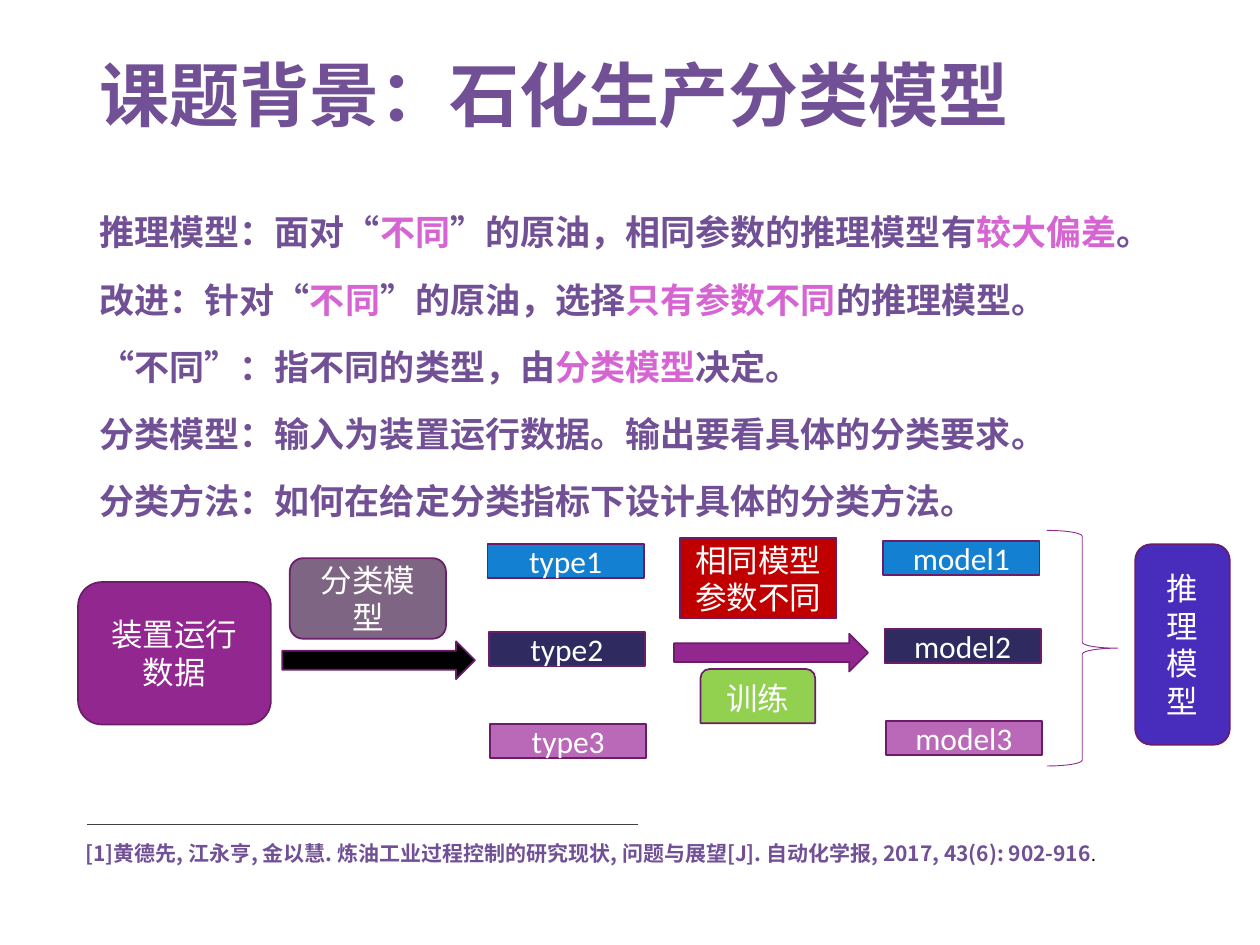
import dataclasses
import typing

import pptx
import pptx.dml.color
import pptx.enum.shapes
import pptx.enum.text
import pptx.oxml
import pptx.oxml.ns
import pptx.util

Kind = pptx.enum.shapes.MSO_SHAPE
Align = pptx.enum.text.PP_ALIGN
Anchor = pptx.enum.text.MSO_ANCHOR
NOTO = "Noto Sans CJK SC"
PURPLE, PINK, EDGE, MAIN = "715096", "D665D3", "6C1D6A", "92278F"
COLS, ROWS = 100, 75
HEAD = {"size": 40, "name": NOTO, "color": PURPLE, "bold": True}
LIST = {**HEAD, "size": 20}
CITE = {**HEAD, "size": 12}
DOT = {"size": 11, "name": "Calibri", "color": "000000", "bold": False}
LABEL = {"size": 18, "name": "Calibri", "color": "FFFFFF"}

TITLE = "课题背景：石化生产分类模型"
# Asterisks enclose the highlighted words.
POINTS = [
    "推理模型：面对“*不同*”的原油，相同参数的推理模型有*较大偏差*。",
    "改进：针对“*不同*”的原油，选择*只有参数不同*的推理模型。",
    "“不同”：指不同的类型，由*分类模型*决定。",
    "分类模型：输入为装置运行数据。输出要看具体的分类要求。",
    "分类方法：如何在给定分类指标下设计具体的分类方法。",
]
SOURCE = ("[1]黄德先, 江永亨, 金以慧. 炼油工业过程控制的研究现状, "
          "问题与展望[J]. 自动化学报, 2017, 43(6): 902-916")


@dataclasses.dataclass
class Area:
    """A place on the grid, in columns and rows."""
    col: float
    row: float
    wide: float
    high: float


@dataclasses.dataclass
class Node:
    kind: typing.Any
    area: Area
    fill: typing.Optional[str] = None
    text: str = ""
    edge: str = EDGE
    width: float = 1


STEPS = [
    Node(Kind.ROUNDED_RECTANGLE, Area(6.2, 46.2, 15.3, 11.3), MAIN, "装置运行数据"),
    Node(Kind.RIGHT_ARROW, Area(22.4, 50.9, 15.3, 3), "000000"),
    Node(Kind.RIGHT_ARROW, Area(53.5, 50.3, 15.4, 3), MAIN),
    Node(Kind.ROUNDED_RECTANGLE, Area(23, 44.3, 12.4, 6.4), "7E6583", "分类模型"),
    Node(Kind.RECTANGLE, Area(54, 42.7, 12.4, 6.4), "C00000", "相同模型参数不同"),
    Node(Kind.RIGHT_BRACE, Area(83.1, 42.1, 5.6, 18.7), edge=MAIN, width=0.5),
    Node(Kind.ROUNDED_RECTANGLE, Area(90.1, 43.2, 7.5, 15.9), "482CBC", "推理模型"),
    Node(Kind.ROUND_2_SAME_RECTANGLE, Area(55.6, 53.1, 9.1, 4.3), "92D050", "训练"),
]
STACKS = [("type", 38.7, 43.2), ("model", 70.1, 42.95)]
LEVELS = [("1480D1", 0), ("2F2B60", 6.95), ("BA69B8", 14.25)]

deck = pptx.Presentation()
deck.slide_width = pptx.util.Inches(10)
deck.slide_height = pptx.util.Inches(7.5)


def across(cols: float) -> int:
    return round(deck.slide_width * cols / COLS)


def down(rows: float) -> int:
    return round(deck.slide_height * rows / ROWS)


def frame(area: Area) -> tuple:
    return across(area.col), down(area.row), across(area.wide), down(area.high)


def paint(color: typing.Any, code: str) -> None:
    color.rgb = pptx.dml.color.RGBColor.from_string(code)


def move(shape: typing.Any, area: Area) -> None:
    names = ("left", "top", "width", "height")
    for name, value in zip(names, frame(area)):
        setattr(shape, name, value)


def write(para: typing.Any, text: str, style: dict) -> None:
    run = para.add_run()
    run.text = text
    for name, value in style.items():
        if name == "color":
            paint(run.font.color, value)
        else:
            setattr(run.font, name, pptx.util.Pt(value) if name == "size" else value)
    props = run._r.get_or_add_rPr()
    props.set("lang", "zh-CN")
    if style["name"] == NOTO:
        tag = pptx.oxml.ns.qn("a:ea")
        face = props.makeelement(tag, {"typeface": NOTO})
        props.find(pptx.oxml.ns.qn("a:latin")).addnext(face)


def draw(slide: typing.Any, node: Node) -> None:
    shape = slide.shapes.add_shape(node.kind, *frame(node.area))
    shape.shadow.inherit = False
    if node.fill:
        shape.fill.solid()
        paint(shape.fill.fore_color, node.fill)
    else:
        shape.fill.background()
    paint(shape.line.color, node.edge)
    shape.line.width = pptx.util.Pt(node.width)
    if node.text:
        text = shape.text_frame
        text.word_wrap = True
        text.vertical_anchor = Anchor.MIDDLE
        text.paragraphs[0].alignment = Align.CENTER
        write(text.paragraphs[0], node.text, LABEL)


def fill_list(body: typing.Any) -> None:
    move(body, Area(6.9, 15.9, 83.3, 34.7))
    text = body.text_frame
    text.auto_size = pptx.enum.text.MSO_AUTO_SIZE.NONE
    for index, point in enumerate(POINTS):
        para = text.add_paragraph() if index else text.paragraphs[0]
        para.line_spacing = 1.1
        para.space_before = pptx.util.Pt(12)
        props = para._p.get_or_add_pPr()
        for name in ("marL", "indent"):
            props.set(name, "0")
        props.append(props.makeelement(pptx.oxml.ns.qn("a:buNone"), {}))
        for turn, part in enumerate(point.split("*")):
            write(para, part, {**LIST, "color": PINK if turn % 2 else PURPLE})


def add_source(slide: typing.Any) -> None:
    rule = slide.shapes.add_connector(
        pptx.enum.shapes.MSO_CONNECTOR.STRAIGHT,
        across(6.9), down(65.4), across(50.6), down(65.4))
    paint(rule.line.color, "404040")
    rule.line.width = pptx.util.Pt(0.5)
    props = rule._element.spPr
    props.append(props.makeelement(pptx.oxml.ns.qn("a:effectLst"), {}))
    text = slide.shapes.add_textbox(*frame(Area(5.8, 66.2, 88.4, 3))).text_frame
    text.word_wrap = True
    write(text.paragraphs[0], SOURCE, CITE)
    write(text.paragraphs[0], ".", DOT)


def main() -> None:
    slide = deck.slides.add_slide(deck.slide_layouts[1])
    title, body = slide.placeholders
    move(title, Area(6.9, 4, 86.2, 7.7))
    title.text_frame.vertical_anchor = Anchor.MIDDLE
    title.text_frame.auto_size = pptx.enum.text.MSO_AUTO_SIZE.NONE
    para = title.text_frame.paragraphs[0]
    para.alignment = Align.LEFT
    para.line_spacing = 0.9
    write(para, TITLE, HEAD)
    fill_list(body)
    add_source(slide)
    for node in STEPS:
        draw(slide, node)
    for name, col, row in STACKS:
        for index, (fill, drop) in enumerate(LEVELS):
            area = Area(col + index / 10, row + drop, 12.4, 2.7)
            draw(slide, Node(Kind.RECTANGLE, area, fill, f"{name}{index + 1}"))
    deck.save("out.pptx")


if __name__ == "__main__":
    main()
